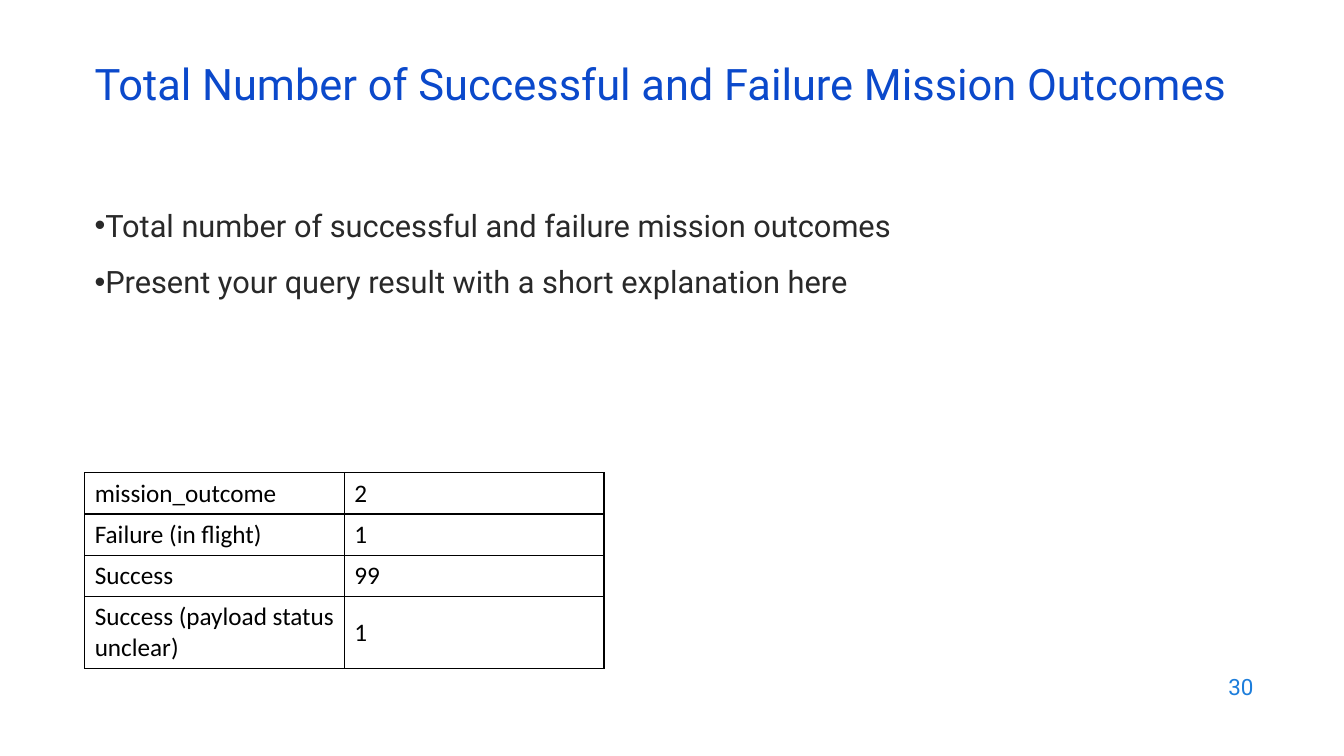
from lxml import etree
from pptx import Presentation
from pptx.dml.color import RGBColor
from pptx.enum.text import MSO_ANCHOR, PP_ALIGN
from pptx.oxml.ns import qn
from pptx.util import Inches, Pt

TOP, MIDDLE = MSO_ANCHOR.TOP, MSO_ANCHOR.MIDDLE
LEFT, RIGHT = PP_ALIGN.LEFT, PP_ALIGN.RIGHT

MARGIN = 0.84
TITLE = {"name": "Roboto", "size": Pt(31), "color": "0B49CB"}
BODY = {"name": "Roboto", "size": Pt(22), "color": "292929"}
NUMBER = {"name": "Roboto", "size": Pt(16), "color": "1C7DDB"}
CELL = {"name": "Calibri", "size": Pt(18), "color": "000000"}


def rgb(value):
    return RGBColor.from_string(value)


def style(font, fmt):
    for key, value in fmt.items():
        if key == "color":
            font.color.rgb = rgb(value)
        else:
            setattr(font, key, value)


def add_text(slide, box, lines, fmt, anchor=TOP, bullet=None, **para):
    sp = slide.shapes.add_textbox(*map(Inches, box))
    tf = sp.text_frame
    tf.word_wrap = True
    tf.vertical_anchor = anchor
    for i, line in enumerate(lines):
        p = tf.paragraphs[0] if i == 0 else tf.add_paragraph()
        for key, value in para.items():
            if i or key != "space_before":
                setattr(p, key, value)
        if bullet:
            pPr = p._p.get_or_add_pPr()
            pPr.set("marL", "0")
            pPr.set("indent", "0")
            etree.SubElement(pPr, qn("a:buFont")).set("typeface", "Arial")
            etree.SubElement(pPr, qn("a:buChar")).set("char", bullet)
        r = p.add_run()
        r.text = line
        style(r.font, fmt)


def add_borders(cell, color, width):
    tcPr = cell._tc.get_or_add_tcPr()
    for i, side in enumerate(("lnL", "lnR", "lnT", "lnB")):
        ln = etree.Element(qn(f"a:{side}"), w=str(width))
        fill = etree.SubElement(ln, qn("a:solidFill"))
        etree.SubElement(fill, qn("a:srgbClr")).set("val", color)
        tcPr.insert(i, ln)


def add_outcome_table(slide, box, rows, heights):
    shape = slide.shapes.add_table(len(rows), len(rows[0]), *map(Inches, box))
    table = shape.table
    table.first_row = table.horz_banding = False
    for row, height, values in zip(table.rows, heights, rows):
        row.height = Inches(height)
        for cell, value in zip(row.cells, values):
            cell.fill.background()
            cell.vertical_anchor = MIDDLE
            add_borders(cell, "000000", Pt(1))
            r = cell.text_frame.paragraphs[0].add_run()
            r.text = value
            style(r.font, CELL)


def build_query_slide(prs):
    slide = prs.slides.add_slide(prs.slide_layouts[6])

    # Slide number
    add_text(slide, (9.53, 6.59, 3, 0.44), ["30"], NUMBER, MIDDLE,
             alignment=RIGHT)

    # Explanation
    add_text(slide, (MARGIN, 2, 10.66, 4.76),
             ["Total number of successful and failure mission outcomes",
              "Present your query result with a short explanation here"],
             BODY, bullet="•", alignment=LEFT, space_before=Pt(14))

    # Title
    add_text(slide, (MARGIN, 0.59, 11.5, 0.6),
             ["Total Number of Successful and Failure Mission Outcomes"],
             TITLE, MIDDLE, alignment=LEFT, line_spacing=0.7)

    # Query result
    rows = [("mission_outcome", "2"),
            ("Failure (in flight)", "1"),
            ("Success", "99"),
            ("Success (payload status unclear)", "1")]
    heights = [0.41, 0.41, 0.41, 0.71]
    add_outcome_table(slide, (MARGIN, 4.69, 5.15, sum(heights)), rows, heights)


def main():
    prs = Presentation()
    prs.slide_width, prs.slide_height = Inches(13.33), Inches(7.5)
    build_query_slide(prs)
    prs.save("out.pptx")


if __name__ == "__main__":
    main()
